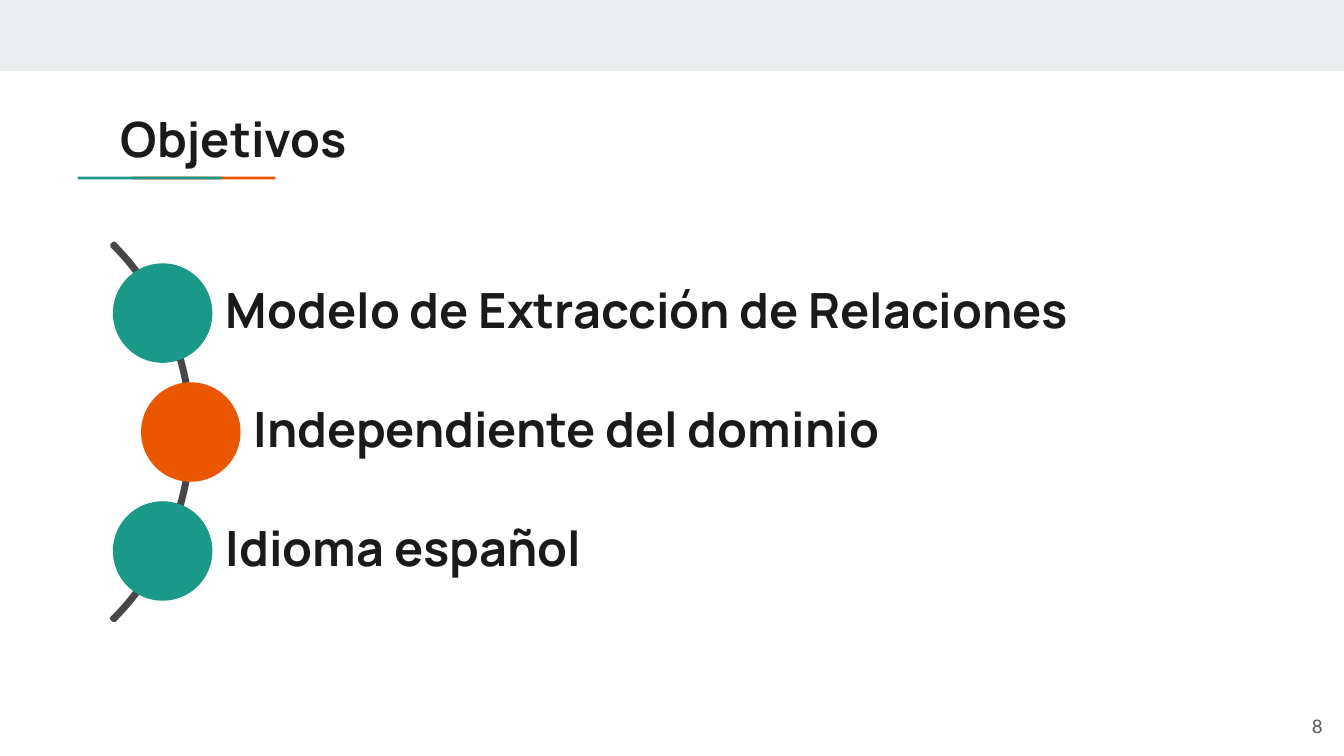
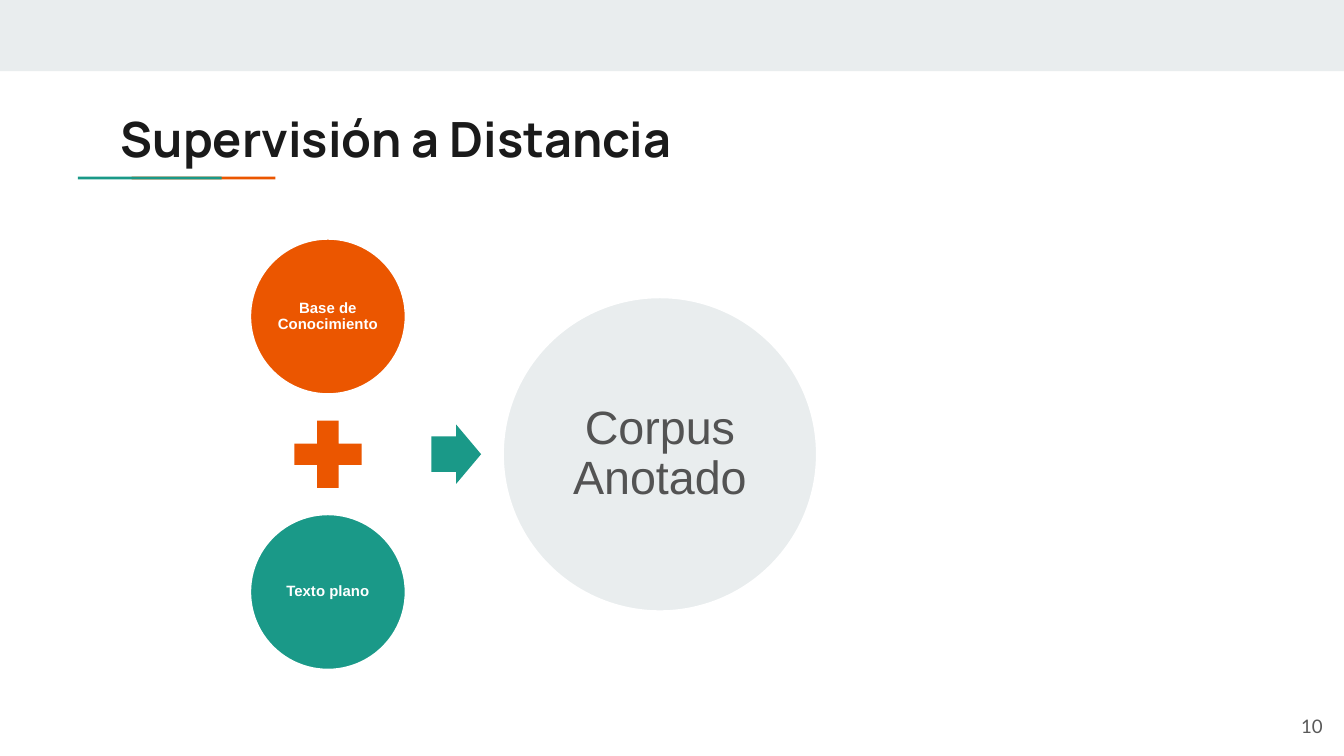
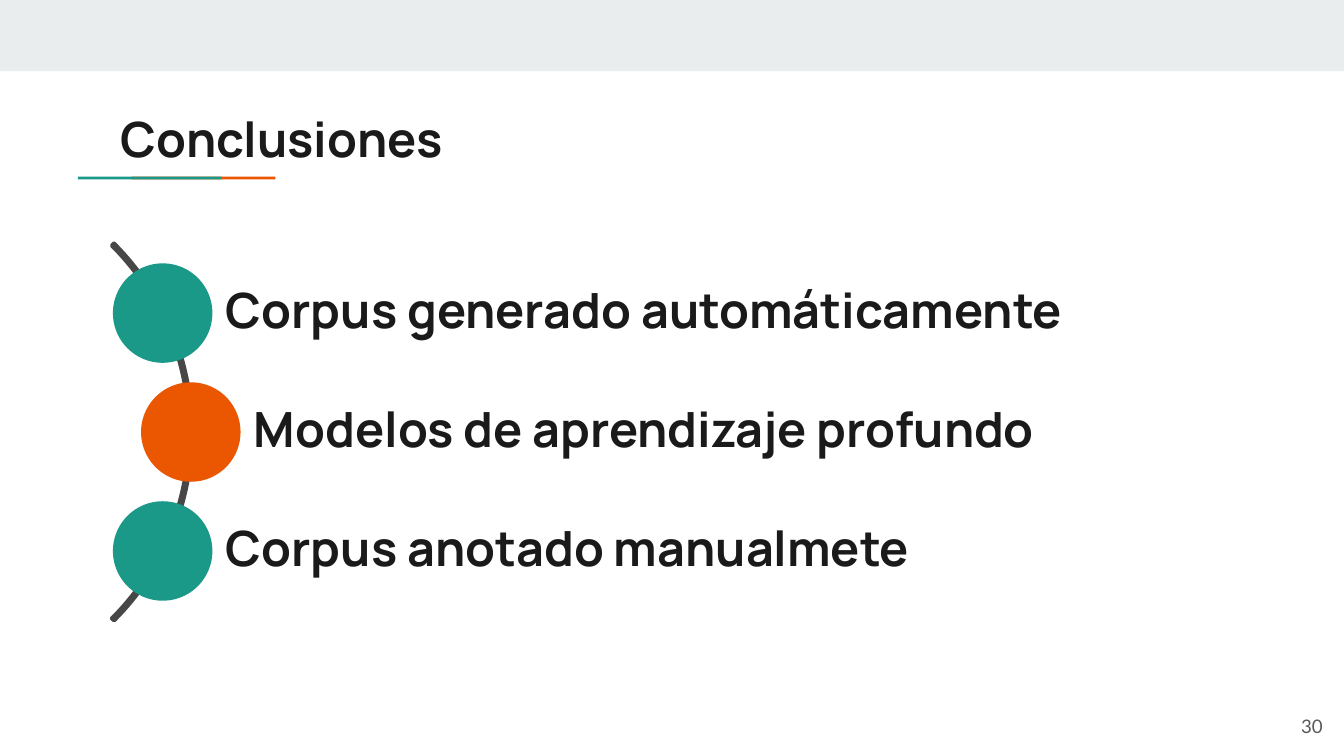
from dataclasses import dataclass
from math import sqrt

from pptx import Presentation
from pptx.dml.color import RGBColor
from pptx.enum.shapes import MSO_SHAPE as Preset
from pptx.enum.text import MSO_ANCHOR as Anchor, PP_ALIGN as Align
from pptx.shapes.autoshape import Shape
from pptx.slide import Slide
from pptx.text.text import TextFrame
from pptx.util import Emu, Inches, Pt

COLORS = {
    "band": "E9EDEE",
    "teal": "1A9988",
    "orange": "EB5600",
    "ink": "1A1A1A",
    "arc": "474747",
    "result": "535353",
    "number": "595959",
    "white": "FFFFFF",
}

SLIDE_WIDTH, SLIDE_HEIGHT = Inches(10), Inches(5.625)
UNIT = SLIDE_WIDTH / 100  # square grid: 100 columns by 56.25 rows
OUTLINE = Pt(2)

ARC_CENTER = (-5.55, 32.15)
ARC_RADIUS = 19.85
MILESTONE_RADIUS = 19.75
MILESTONE_PITCH = 8.85
MILESTONE_SIZE = 7.4
MILESTONE_COLORS = ("teal", "orange", "teal")
LABEL_RIGHT, LABEL_ROWS = 91.65, 5.9

EQUATION_AXIS = 33.8
SOURCE_COLUMN, SOURCE_OFFSET, SOURCE_SIZE = 24.4, 10.25, 11.7


@dataclass(frozen=True)
class Area:
    """A rectangle in grid columns and rows."""
    column: float
    row: float
    columns: float
    rows: float

    def emu(self) -> tuple[Emu, ...]:
        return tuple(Emu(round(part * UNIT))
                     for part in (self.column, self.row, self.columns, self.rows))


def centered(column: float, row: float, columns: float, rows: float) -> Area:
    return Area(column - columns / 2, row - rows / 2, columns, rows)


@dataclass(frozen=True)
class TextStyle:
    font: str
    size: float
    color: str
    bold: bool = False
    align: Align = Align.LEFT
    anchor: Anchor = Anchor.MIDDLE
    line_spacing: float | None = None
    insets: tuple[float, float, float, float] = (1, 1, 1, 1)  # left, top, right, bottom


TITLE = TextStyle("Manrope", 26, "ink", bold=True, anchor=Anchor.TOP)
LABEL = TextStyle("Manrope", 26, "ink", bold=True, line_spacing=0.9,
                  insets=(4.7, 0.7, 0.7, 0.7))
SOURCE = TextStyle("Arial", 8, "white", bold=True, align=Align.CENTER,
                   line_spacing=0.9, insets=(0.1,) * 4)
RESULT = TextStyle("Arial", 25, "result", align=Align.CENTER,
                   line_spacing=0.9, insets=(0.3,) * 4)
NUMBER = TextStyle("Lato", 10, "number", align=Align.RIGHT)


@dataclass(frozen=True)
class Part:
    """One shape of the equation diagram."""
    preset: Preset
    area: Area
    fill: str
    line: str | None = None
    text: str = ""
    style: TextStyle | None = None


EQUATION = (
    Part(Preset.OVAL,
         centered(SOURCE_COLUMN, EQUATION_AXIS - SOURCE_OFFSET, SOURCE_SIZE, SOURCE_SIZE),
         "orange", "white", "Base de Conocimiento", SOURCE),
    Part(Preset.MATH_PLUS, centered(SOURCE_COLUMN, EQUATION_AXIS, 6.8, 6.8), "orange"),
    Part(Preset.OVAL,
         centered(SOURCE_COLUMN, EQUATION_AXIS + SOURCE_OFFSET, SOURCE_SIZE, SOURCE_SIZE),
         "teal", "white", "Texto plano", SOURCE),
    Part(Preset.RIGHT_ARROW, centered(33.95, EQUATION_AXIS, 3.7, 4.4), "teal"),
    Part(Preset.OVAL, centered(49.1, EQUATION_AXIS, 23.5, 23.5),
         "band", "white", "Corpus Anotado", RESULT),
)


def rgb(color: str) -> RGBColor:
    return RGBColor.from_string(COLORS[color])


def write(frame: TextFrame, text: str, style: TextStyle) -> None:
    frame.word_wrap = True
    frame.vertical_anchor = style.anchor
    (frame.margin_left, frame.margin_top,
     frame.margin_right, frame.margin_bottom) = (Emu(round(i * UNIT)) for i in style.insets)
    frame.text = text
    paragraph = frame.paragraphs[0]
    paragraph.alignment = style.align
    if style.line_spacing:
        paragraph.line_spacing = style.line_spacing
    font = paragraph.runs[0].font
    font.name, font.size, font.bold = style.font, Pt(style.size), style.bold
    font.color.rgb = rgb(style.color)


def add_text(slide: Slide, area: Area, text: str, style: TextStyle) -> None:
    write(slide.shapes.add_textbox(*area.emu()).text_frame, text, style)


def add_preset(slide: Slide, preset: Preset, area: Area,
               fill: str | None = None, line: str | None = None) -> Shape:
    shape = slide.shapes.add_shape(preset, *area.emu())
    shape.shadow.inherit = False
    if fill:
        shape.fill.solid()
        shape.fill.fore_color.rgb = rgb(fill)
    else:
        shape.fill.background()
    if line:
        shape.line.color.rgb = rgb(line)
        shape.line.width = OUTLINE
    else:
        shape.line.fill.background()
    return shape


def add_base_slide(deck: Presentation, title: str, number: int) -> Slide:
    """Add a slide with the top band, underlined title and page number."""
    slide = deck.slides.add_slide(deck.slide_layouts[6])
    add_preset(slide, Preset.RECTANGLE, Area(0, 0, 100, 5.3), "band")
    for column, color in ((15.15, "orange"), (11.15, "teal")):
        add_preset(slide, Preset.RECTANGLE, centered(column, 13.25, 10.7, 0.2), color)
    add_text(slide, Area(8, 7.1, 84.1, 5.9), title, TITLE)
    add_text(slide, Area(93.4, 51.9, 6, 4.3), str(number), NUMBER)
    return slide


def add_milestones(slide: Slide, labels: tuple[str, ...]) -> None:
    """Draw labelled circles strung along an arc."""
    arc_column, arc_row = ARC_CENTER
    arc = add_preset(slide, Preset.BLOCK_ARC,
                     centered(arc_column, arc_row, 2 * ARC_RADIUS, 2 * ARC_RADIUS),
                     line="arc")
    for index, value in enumerate((189, 27, 0.006)):
        arc.adjustments[index] = value

    for index, (label, color) in enumerate(zip(labels, MILESTONE_COLORS)):
        drop = (index - 1) * MILESTONE_PITCH
        column = arc_column + sqrt(MILESTONE_RADIUS ** 2 - drop ** 2)
        row = arc_row + drop
        box = add_preset(slide, Preset.RECTANGLE,
                         Area(column, row - LABEL_ROWS / 2, LABEL_RIGHT - column, LABEL_ROWS),
                         line="white")
        write(box.text_frame, label, LABEL)
        add_preset(slide, Preset.OVAL,
                   centered(column, row, MILESTONE_SIZE, MILESTONE_SIZE), color)


def add_equation(slide: Slide) -> None:
    for part in EQUATION:
        shape = add_preset(slide, part.preset, part.area, part.fill, part.line)
        if part.style:
            write(shape.text_frame, part.text, part.style)
        if part.preset == Preset.RIGHT_ARROW:
            shape.adjustments[0] = 0.6


def main() -> None:
    deck = Presentation()
    deck.slide_width, deck.slide_height = SLIDE_WIDTH, SLIDE_HEIGHT
    add_milestones(add_base_slide(deck, "Objetivos", 8), (
        "Modelo de Extracción de Relaciones",
        "Independiente del dominio",
        "Idioma español",
    ))
    add_equation(add_base_slide(deck, "Supervisión a Distancia", 10))
    add_milestones(add_base_slide(deck, "Conclusiones", 30), (
        "Corpus generado automáticamente",
        "Modelos de aprendizaje profundo",
        "Corpus anotado manualmete",
    ))
    deck.save("out.pptx")


if __name__ == "__main__":
    main()
